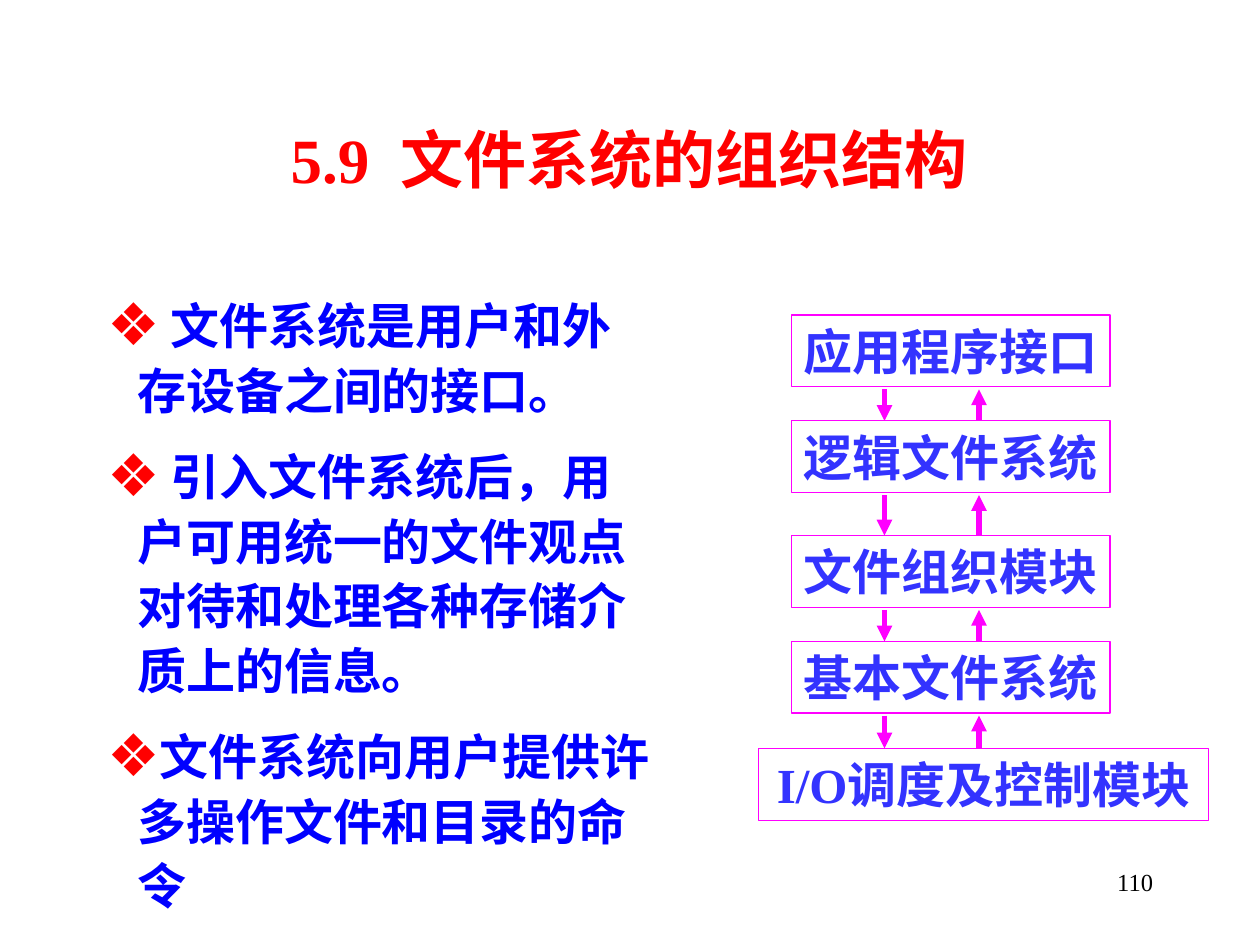
from lxml import etree
from pptx import Presentation
from pptx.dml.color import RGBColor
from pptx.enum.shapes import MSO_CONNECTOR as CONN, MSO_SHAPE as SHAPE
from pptx.enum.text import MSO_ANCHOR as ANCHOR, MSO_AUTO_SIZE as AUTO, PP_ALIGN as ALIGN
from pptx.oxml.ns import qn
from pptx.util import Inches, Pt

FONT = "Times New Roman"
BLACK = RGBColor(0x00, 0x00, 0x00)
WHITE = RGBColor(0xFF, 0xFF, 0xFF)
RED = RGBColor(0xFF, 0x00, 0x00)
BLUE = RGBColor(0x00, 0x00, 0xFF)
LAYER_BLUE = RGBColor(0x33, 0x33, 0xFF)
MAGENTA = RGBColor(0xFF, 0x00, 0xFF)

POINTS = [
    " 文件系统是用户和外存设备之间的接口。",
    " 引入文件系统后，用户可用统一的文件观点对待和处理各种存储介质上的信息。",
    "文件系统向用户提供许多操作文件和目录的命令",
]
# Layer name, top offset within the diagram
LAYERS = [
    ("应用程序接口", 0),
    ("逻辑文件系统", 0.84),
    ("文件组织模块", 1.75),
    ("基本文件系统", 2.59),
    ("I/O调度及控制模块", 3.44),
]


def write(p, text, size=28, color=BLACK, bold=True, align=ALIGN.LEFT):
    p.alignment = align
    r = p.add_run()
    r.text = text
    r.font.name, r.font.size, r.font.bold = FONT, Pt(size), bold
    r.font.color.rgb = color


def place(sp, x, y, w, h):
    sp.left, sp.top, sp.width, sp.height = (Inches(v) for v in (x, y, w, h))


def add_bullet(p, char, color, percent, indent):
    pPr = p._p.get_or_add_pPr()
    pPr.set("marL", str(Inches(indent)))
    pPr.set("indent", str(-Inches(indent)))
    clr = etree.SubElement(pPr, qn("a:buClr"))
    etree.SubElement(clr, qn("a:srgbClr"), val=str(color))
    etree.SubElement(pPr, qn("a:buSzPct"), val=str(percent * 1000))
    etree.SubElement(pPr, qn("a:buChar"), char=char)


def add_title(s, x, y, w, h):
    sp = s.shapes.title
    place(sp, x, y, w, h)
    tf = sp.text_frame
    tf.auto_size, tf.vertical_anchor = AUTO.NONE, ANCHOR.MIDDLE
    write(tf.paragraphs[0], "5.9  文件系统的组织结构", size=36, color=RED, align=ALIGN.CENTER)


def add_points(s, x, y, w, h):
    sp = s.placeholders[1]
    place(sp, x, y, w, h)
    tf = sp.text_frame
    tf.word_wrap, tf.auto_size = True, AUTO.SHAPE_TO_FIT_TEXT
    tf.vertical_anchor = ANCHOR.TOP
    for i, text in enumerate(POINTS):
        p = tf.add_paragraph() if i else tf.paragraphs[0]
        add_bullet(p, "❖", RED, 120, 0.24)
        p.line_spacing = 1.1
        p.space_before = Pt(12.2 if i else 0)
        write(p, text, color=BLUE)


def add_layer(grp, text, x, y, w, h, align):
    sp = grp.shapes.add_shape(SHAPE.RECTANGLE, *(Inches(v) for v in (x, y, w, h)))
    sp.shadow.inherit = False
    sp.fill.solid()
    sp.fill.fore_color.rgb = WHITE
    sp.line.color.rgb, sp.line.width = MAGENTA, Pt(0.75)
    tf = sp.text_frame
    tf.word_wrap, tf.auto_size = False, AUTO.SHAPE_TO_FIT_TEXT
    tf.vertical_anchor = ANCHOR.TOP
    write(tf.paragraphs[0], text, color=LAYER_BLUE, align=align)


def add_arrow(grp, x, start, end):
    c = grp.shapes.add_connector(CONN.STRAIGHT, Inches(x), Inches(start), Inches(x), Inches(end))
    c.line.color.rgb, c.line.width = MAGENTA, Pt(3)
    etree.SubElement(c.line._get_or_add_ln(), qn("a:tailEnd"), type="triangle")
    etree.SubElement(c._element.spPr, qn("a:effectLst"))


def add_layer_diagram(s, x, y, w, h):
    grp = s.shapes.add_group_shape()
    box_h = 0.57
    # Layers: the bottom one spans the full width
    for text, top in LAYERS[:-1]:
        add_layer(grp, text, x + 0.26, y + top, 2.53, box_h, ALIGN.LEFT)
    add_layer(grp, LAYERS[-1][0], x, y + h - box_h, w, box_h, ALIGN.CENTER)
    # A down and an up arrow in each gap
    for (_, above), (_, below) in zip(LAYERS, LAYERS[1:]):
        top, bottom = y + above + box_h + 0.02, y + below
        add_arrow(grp, x + 1, top, bottom)
        add_arrow(grp, x + 1.75, bottom, top)


def add_page_number(s, x, y, w, h):
    tf = s.shapes.add_textbox(*(Inches(v) for v in (x, y, w, h))).text_frame
    tf.word_wrap = True
    write(tf.paragraphs[0], "110", size=14, bold=False, align=ALIGN.RIGHT)


def main():
    prs = Presentation()
    prs.slide_width, prs.slide_height = Inches(10), Inches(7.5)
    s = prs.slides.add_slide(prs.slide_layouts[1])
    add_page_number(s, 7.17, 6.83, 2.08, 0.5)
    add_title(s, 0.83, 0.84, 8.33, 0.83)
    add_layer_diagram(s, 6.02, 2.5, 3.57, 4.01)
    add_points(s, 0.75, 2.25, 4.58, 4.55)
    prs.save("out.pptx")


if __name__ == "__main__":
    main()
